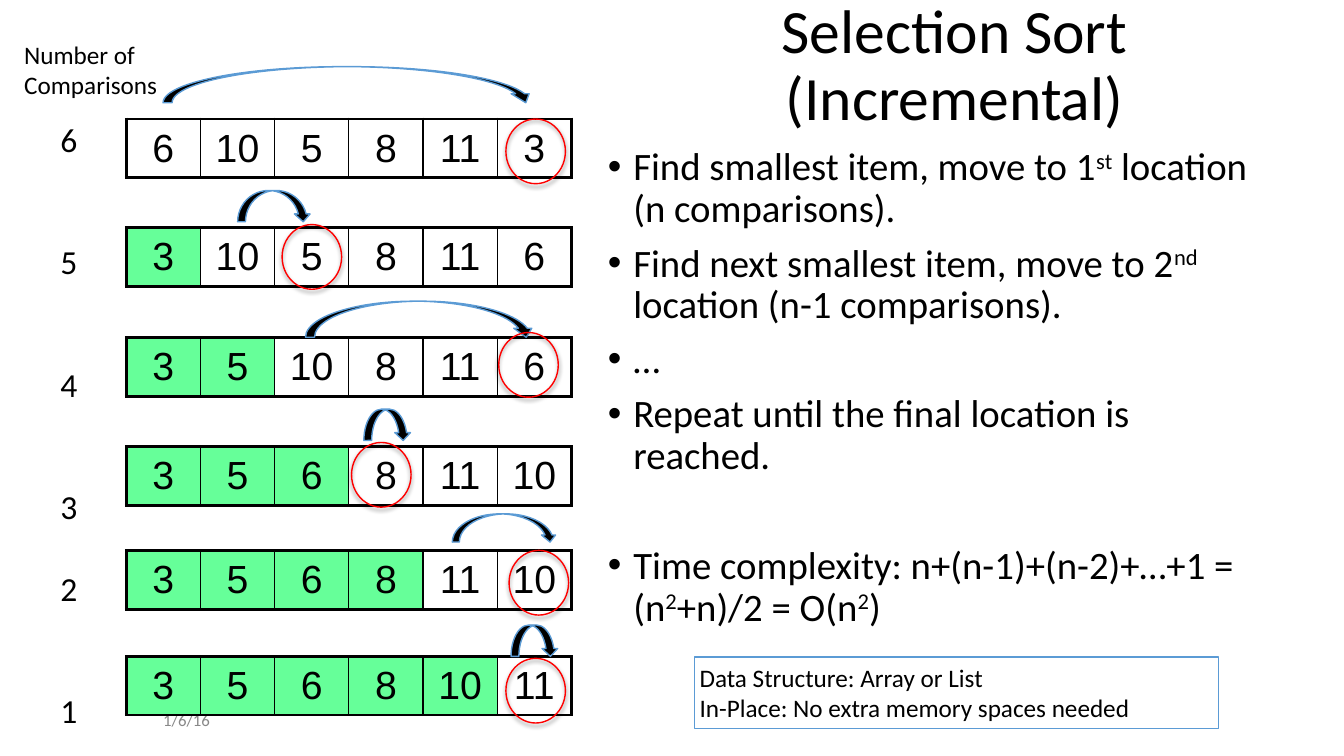
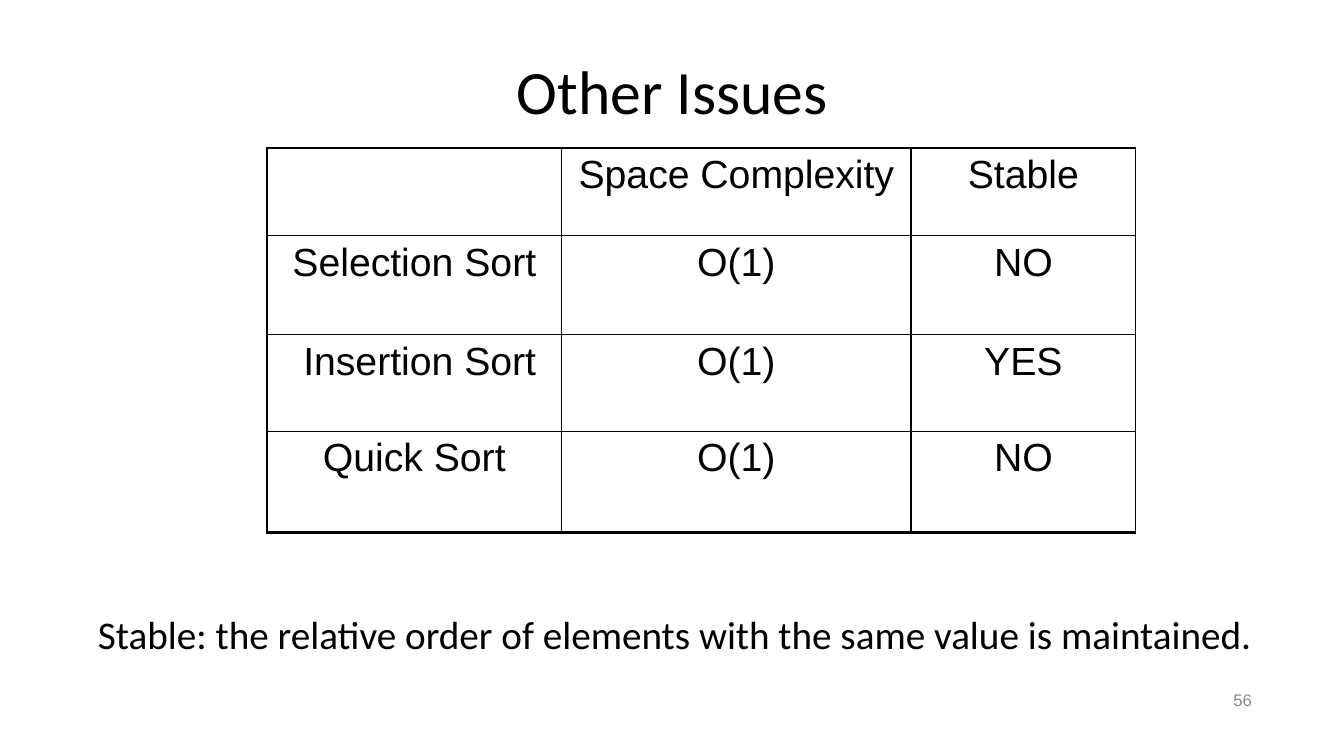
from dataclasses import dataclass

from lxml import etree
from pptx import Presentation
from pptx import util as u
from pptx.dml.color import RGBColor
from pptx.enum import shapes, text
from pptx.oxml import parse_xml
from pptx.oxml.ns import nsdecls, qn


@dataclass(frozen=True)
class Theme:
    black: str = "000000"
    grey: str = "888888"
    blue: str = "5B9BD5"
    red: str = "FF0000"
    green: str = "66FF99"
    body_font: str = "Calibri"
    table_font: str = "Arial"
    title: float = 44
    large: float = 28
    bullet: float = 27.7
    count: float = 24
    label: float = 18
    footer: float = 12
    thin: float = 1
    thick: float = 2.25
    inset: float = 0.13
    bullet_indent: float = 0.64


LEFT, CENTER, RIGHT = text.PP_ALIGN.LEFT, text.PP_ALIGN.CENTER, text.PP_ALIGN.RIGHT
TOP, MIDDLE = text.MSO_ANCHOR.TOP, text.MSO_ANCHOR.MIDDLE


class Deck:
    def __init__(self, theme):
        self.theme = theme
        self.prs = Presentation()
        self.prs.slide_width = u.Cm(33.87)
        self.prs.slide_height = u.Cm(19.05)
        self.s = None

    def slide(self):
        self.s = self.prs.slides.add_slide(self.prs.slide_layouts[6])

    def style(self, r, size, color=None, font=None):
        r.font.size = u.Pt(size)
        r.font.name = font or self.theme.body_font
        r.font.color.rgb = RGBColor.from_string(color or self.theme.black)

    def frame(self, tf, inset, anchor):
        tf.word_wrap = True
        tf.vertical_anchor = anchor
        tf.margin_left = tf.margin_right = u.Cm(inset)
        tf.margin_top = tf.margin_bottom = u.Cm(inset)

    def fill_text(self, tf, lines, size, align=LEFT, color=None, font=None):
        tf.text = "\n".join(lines)
        for p in tf.paragraphs:
            p.alignment = align
            for r in p.runs:
                self.style(r, size, color, font)

    def text(self, box, lines, size, inset=0.0, anchor=TOP, **look):
        sp = self.s.shapes.add_textbox(*map(u.Cm, box))
        self.frame(sp.text_frame, inset, anchor)
        self.fill_text(sp.text_frame, lines, size, **look)
        return sp.text_frame

    def title(self, box, words):
        tf = self.text(box, [words], self.theme.title, anchor=MIDDLE, align=CENTER)
        tf.paragraphs[0].line_spacing = 0.9

    def footer(self, box, words, **look):
        self.text(box, [words], self.theme.footer, anchor=MIDDLE,
                  color=self.theme.grey, **look)

    def bullets(self, box, items):
        tf = self.text(box, ["" for _ in items], self.theme.bullet)
        indent = u.Cm(self.theme.bullet_indent)
        for p, (space, pieces) in zip(tf.paragraphs, items):
            p.line_spacing = 0.9
            p.space_before = u.Pt(space)
            pPr = p._p.get_or_add_pPr()
            pPr.set("marL", str(indent))
            pPr.set("indent", str(-indent))
            etree.SubElement(pPr, qn("a:buFont")).set("typeface", "Arial")
            etree.SubElement(pPr, qn("a:buChar")).set("char", "•")
            for i, piece in enumerate(pieces):
                r = p.add_run()
                r.text = piece
                self.style(r, self.theme.bullet)
                if i % 2:
                    r._r.get_or_add_rPr().set("baseline", "30000")

    def shape(self, kind, box, fill=None, line=None):
        sp = self.s.shapes.add_shape(kind, *map(u.Cm, box))
        sp.shadow.inherit = False
        if fill:
            sp.fill.solid()
            sp.fill.fore_color.rgb = RGBColor.from_string(fill)
        else:
            sp.fill.background()
        sp.line.color.rgb = RGBColor.from_string(line)
        sp.line.width = u.Pt(self.theme.thin)
        return sp

    def swap_arrow(self, box):
        self.shape(shapes.MSO_SHAPE.CURVED_DOWN_ARROW, box, self.theme.black, self.theme.blue)

    def ring(self, left, top):
        sp = self.shape(shapes.MSO_SHAPE.OVAL, (left, top, 1.5, 1.63), line=self.theme.red)
        effects = sp._element.spPr.find(qn("a:effectLst"))
        effects.append(parse_xml(
            f'<a:outerShdw {nsdecls("a")} blurRad="{u.Pt(3)}" dist="{u.Pt(2)}" '
            'dir="5400000" rotWithShape="0"><a:srgbClr val="000000">'
            '<a:alpha val="50000"/></a:srgbClr></a:outerShdw>'))

    def note(self, box, lines):
        sp = self.shape(shapes.MSO_SHAPE.RECTANGLE, box, line=self.theme.blue)
        self.frame(sp.text_frame, self.theme.inset, TOP)
        self.fill_text(sp.text_frame, lines, self.theme.label)

    def borders(self, cell, thick_sides):
        tcPr = cell._tc.get_or_add_tcPr()
        for i, side in enumerate("LRTB"):
            width = self.theme.thick if side in thick_sides else self.theme.thin
            tcPr.insert(i, parse_xml(
                f'<a:ln{side} {nsdecls("a")} w="{u.Pt(width)}"><a:solidFill>'
                f'<a:srgbClr val="{self.theme.black}"/></a:solidFill></a:ln{side}>'))

    def table(self, left, top, widths, heights, rows, outer, anchor=TOP, done=0):
        tbl = self.s.shapes.add_table(
            len(rows), len(widths), u.Cm(left), u.Cm(top),
            u.Cm(sum(widths)), u.Cm(sum(heights))).table
        tbl.first_row = tbl.horz_banding = False
        for col, width in zip(tbl.columns, widths):
            col.width = u.Cm(width)
        for i, (row, height) in enumerate(zip(rows, heights)):
            tbl.rows[i].height = u.Cm(height)
            for j, value in enumerate(row):
                cell = tbl.cell(i, j)
                self.frame(cell.text_frame, self.theme.inset, TOP)
                cell.margin_left = cell.margin_right = u.Cm(self.theme.inset)
                cell.margin_top = cell.margin_bottom = u.Cm(self.theme.inset)
                cell.vertical_anchor = anchor
                self.fill_text(cell.text_frame, [str(value)], self.theme.large,
                               align=CENTER, font=self.theme.table_font)
                cell.text_frame.paragraphs[0].space_before = u.Pt(6)
                if j < done:
                    cell.fill.solid()
                    cell.fill.fore_color.rgb = RGBColor.from_string(self.theme.green)
                else:
                    cell.fill.background()
                edges = {"L": j == 0, "R": j == len(widths) - 1,
                         "T": i == 0, "B": i == len(rows) - 1}
                self.borders(cell, [side for side in outer if edges[side]])


STEPS = [
    (3.0, (6, 10, 5, 8, 11, 3), (4.11, 1.68, 9.37, 0.91), (12.75, 3.0)),
    (5.74, (3, 10, 5, 8, 11, 6), (5.99, 4.8, 1.85, 0.79), (7.11, 5.66)),
    (8.51, (3, 5, 10, 8, 11, 6), (7.7, 7.59, 5.79, 0.91), (12.57, 8.38)),
    (11.25, (3, 5, 6, 8, 11, 10), (9.17, 10.31, 1.19, 0.79), (8.86, 11.15)),
    (13.87, (3, 5, 6, 8, 11, 10), (11.4, 12.95, 2.64, 0.71), (12.83, 13.87)),
    (16.54, (3, 5, 6, 8, 10, 11), (12.88, 15.75, 1.19, 0.79), (12.75, 16.59)),
]

BULLETS = [
    (9, ["Find smallest item, move to 1", "st", " location (n comparisons)."]),
    (9, ["Find next smallest item, move to 2", "nd", " location (n-1 comparisons)."]),
    (9, ["…"]),
    (9, ["Repeat until the final location is reached."]),
    (48.4, ["Time complexity: n+(n-1)+(n-2)+…+1 = (n", "2", "+n)/2 = O(n", "2", ")"]),
]

ISSUES = [
    ("", "Space Complexity", "Stable"),
    ("Selection Sort", "O(1)", "NO"),
    (" Insertion Sort", "O(1)", "YES"),
    ("Quick Sort", "O(1)", "NO"),
]


def selection_sort(deck):
    theme = deck.theme
    deck.slide()
    deck.title((15.56, 0.33, 17, 2.72), "Selection Sort (Incremental)")
    deck.footer((4.11, 17.78, 7.62, 0.74), "1/6/16")
    for done, (top, values, _, _) in enumerate(STEPS):
        deck.table(3.18, top, [1.87] * 6, [1.48], [values], "LRTB", MIDDLE, done)
    tf = deck.text((1.52, 3.0, 0.8, 15.39), list("654321"), theme.count)
    for p, skipped in zip(tf.paragraphs, (0, 2, 2, 2, 1, 2)):
        p.space_before = u.Pt(29.3 * skipped)
    deck.bullets((15.32, 3.71, 16.54, 12.57), BULLETS)
    for _, _, arrow, _ in STEPS:
        deck.swap_arrow(arrow)
    deck.text((0.48, 0.86, 4, 1.8), ["Number of", "Comparisons"], theme.label, theme.inset)
    for _, _, _, ring in STEPS:
        deck.ring(*ring)
    deck.note((17.5, 16.56, 13.21, 1.8),
              ["Data Structure: Array or List", "In-Place: No extra memory spaces needed"])


def other_issues(deck):
    theme = deck.theme
    deck.slide()
    deck.footer((23.93, 17.27, 7.62, 0.74), "56", align=RIGHT, font=theme.table_font)
    deck.title((2.34, 1.02, 29.21, 2.72), "Other Issues")
    deck.table(6.73, 3.73, [7.42, 8.81, 5.66], [2.21, 2.49, 2.44, 2.54], ISSUES, "LTB")
    deck.text((2.34, 15.24, 30, 1.45),
              ["Stable: the relative order of elements with the same value is maintained."],
              theme.large, theme.inset)


def main():
    deck = Deck(Theme())
    selection_sort(deck)
    other_issues(deck)
    deck.prs.save("out.pptx")


if __name__ == "__main__":
    main()
